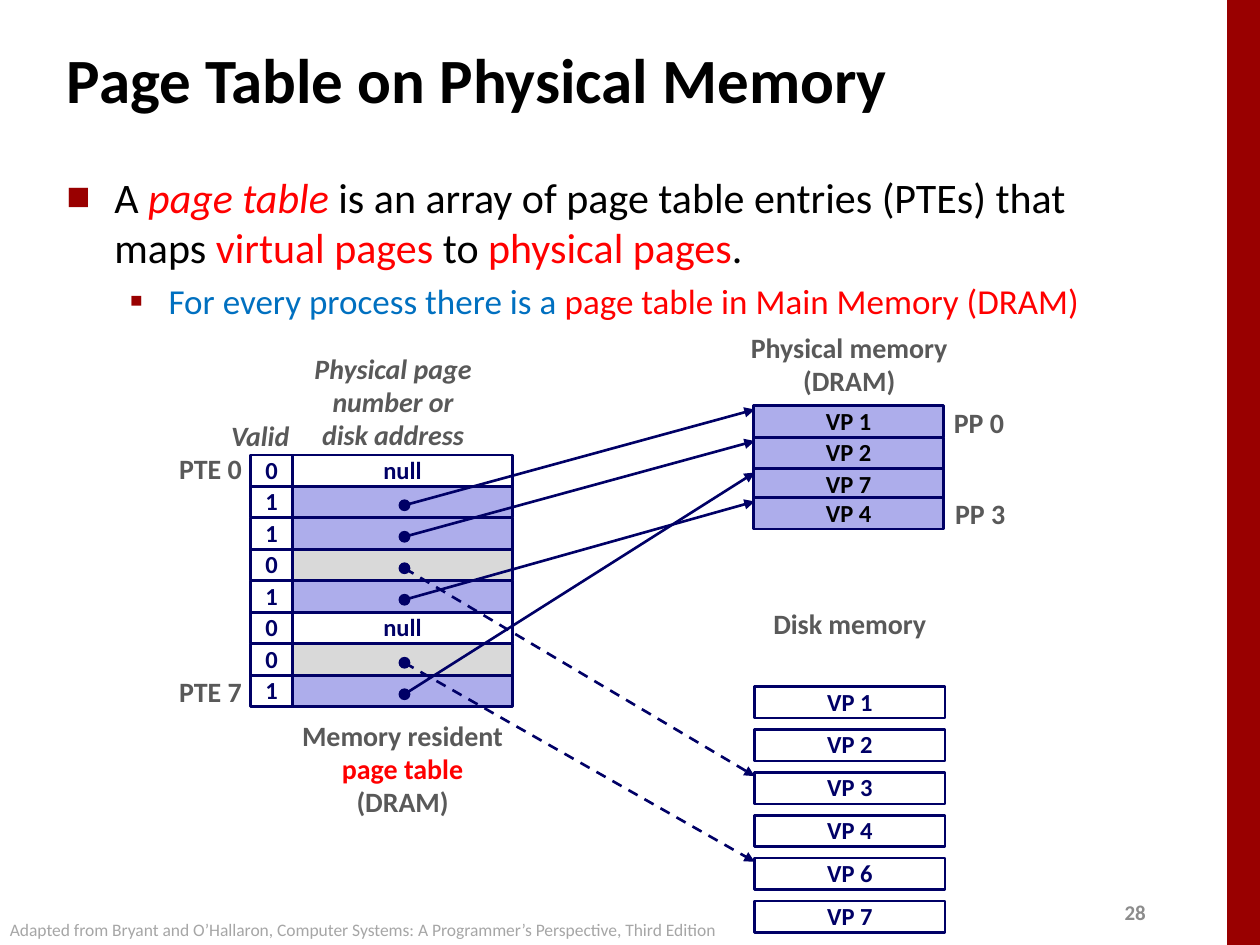
from lxml import etree
from pptx import Presentation
from pptx.dml.color import RGBColor
from pptx.enum.dml import MSO_LINE
from pptx.enum.shapes import MSO_CONNECTOR, MSO_SHAPE
from pptx.enum.text import MSO_ANCHOR, PP_ALIGN
from pptx.oxml.ns import qn
from pptx.util import Inches, Pt

RECTANGLE, OVAL = MSO_SHAPE.RECTANGLE, MSO_SHAPE.OVAL
STRAIGHT, DASH = MSO_CONNECTOR.STRAIGHT, MSO_LINE.DASH
LEFT, CENTER = PP_ALIGN.LEFT, PP_ALIGN.CENTER
MIDDLE = MSO_ANCHOR.MIDDLE

FONT = "Calibri"
COLORS = {
    "black": "000000", "white": "FFFFFF", "navy": "000066",
    "cached": "ADADEB", "on_disk": "D9D9D9", "label": "595959",
    "red": "FF0000", "blue": "0070C0", "accent": "990000",
    "number": "8C8C8C", "credit": "A6A6A6",
}

ROW_HEIGHT = 0.25
TABLE_TOP = 3.61
VALID_LEFT, VALID_WIDTH = 1.99, 0.33
ADDRESS_LEFT, ADDRESS_WIDTH = 2.32, 1.75
# Valid bit and where the entry points: None, or (memory, slot)
PAGE_TABLE = [
    ("0", None), ("1", ("dram", 0)), ("1", ("dram", 1)), ("0", ("disk", 2)),
    ("1", ("dram", 3)), ("0", None), ("0", ("disk", 4)), ("1", ("dram", 2)),
]
DOT_X, DOT_SIZE, DOT_DROP = 3.21, 0.08, 0.15

PAGE_WIDTH = 1.51
DRAM_LEFT, DISK_LEFT = 5.98, 5.99
DRAM_PAGES = ["VP 1", "VP 2", "VP 7", "VP 4"]
DISK_PAGES = ["VP 1", "VP 2", "VP 3", "VP 4", "VP 6", "VP 7"]
SLOT_TOPS = {
    "dram": [3.22, 3.47, 3.72, 3.95],
    "disk": [5.45 + 0.34 * slot for slot in range(len(DISK_PAGES))],
}
ARROW_END_X, ARROW_DROP = 5.99, 0.03

# left, top, width, height, text, italic
LABELS = [
    (2.27, 5.66, 1.85, 0.89, "Memory resident\npage table\n(DRAM)", False),
    (5.85, 2.58, 1.78, 0.63, "Physical memory\n(DRAM)", False),
    (6.03, 4.77, 1.43, 0.37, "Disk memory", False),
    (1.69, 3.28, 0.75, 0.37, "Valid", True),
    (2.39, 2.75, 1.46, 0.89, "Physical page\nnumber or\ndisk address", True),
    (1.32, 3.54, 0.7, 0.37, "PTE 0", False),
    (1.32, 5.31, 0.7, 0.37, "PTE 7", False),
    (7.47, 3.18, 0.6, 0.37, "PP 0", False),
    (7.48, 3.9, 0.6, 0.37, "PP 3", False),
]


def rgb(color):
    return RGBColor.from_string(COLORS[color])


def format_run(run, size, color, bold=False, italic=False):
    run.font.name = FONT
    run.font.size = Pt(size)
    run.font.bold = bold
    run.font.italic = italic
    run.font.color.rgb = rgb(color)


def write_text(shape, text, size, color, bold=True, italic=False, align=CENTER):
    """Set unwrapped, vertically centred text, one paragraph per line."""
    text_frame = shape.text_frame
    text_frame.text = text
    text_frame.word_wrap = False
    text_frame.vertical_anchor = MIDDLE
    for paragraph in text_frame.paragraphs:
        paragraph.alignment = align
        paragraph.line_spacing = 0.98
        for run in paragraph.runs:
            format_run(run, size, color, bold, italic)


def add_box(slide, left, top, width, height, fill, line="navy", line_width=1.5,
            kind=RECTANGLE):
    shape = slide.shapes.add_shape(
        kind, Inches(left), Inches(top), Inches(width), Inches(height))
    shape.shadow.inherit = False
    if fill:
        shape.fill.solid()
        shape.fill.fore_color.rgb = rgb(fill)
    else:
        shape.fill.background()
    if line:
        shape.line.color.rgb = rgb(line)
        shape.line.width = Pt(line_width)
    else:
        shape.line.fill.background()
    return shape


def add_label(slide, left, top, width, height, text, size=16, color="label", **style):
    label = slide.shapes.add_textbox(
        Inches(left), Inches(top), Inches(width), Inches(height))
    write_text(label, text, size, color, **style)
    return label


def add_arrow(slide, start_y, end_y, dashed):
    arrow = slide.shapes.add_connector(
        STRAIGHT, Inches(DOT_X), Inches(start_y), Inches(ARROW_END_X), Inches(end_y))
    arrow.line.color.rgb = rgb("navy")
    arrow.line.width = Pt(1.5)
    if dashed:
        arrow.line.dash_style = DASH
    properties = arrow.line._get_or_add_ln()
    etree.SubElement(properties, qn("a:tailEnd"), type="triangle")
    etree.SubElement(properties.getparent(), qn("a:effectLst"))


def add_title(slide, text):
    title = slide.shapes.title
    title.left, title.top = Inches(0.43), Inches(0.21)
    title.width, title.height = Inches(8.3), Inches(0.83)
    title.text_frame.text = text
    title.text_frame.vertical_anchor = MIDDLE
    paragraph = title.text_frame.paragraphs[0]
    paragraph.alignment = LEFT
    format_run(paragraph.runs[0], 36, "black", bold=True)


def format_bullet(paragraph, symbol, percent, margin, hanging):
    properties = paragraph._p.get_or_add_pPr()
    properties.set("marL", str(Inches(margin)))
    properties.set("indent", str(-Inches(hanging)))
    color = etree.SubElement(properties, qn("a:buClr"))
    etree.SubElement(color, qn("a:srgbClr"), val=COLORS["accent"])
    etree.SubElement(properties, qn("a:buSzPct"), val=str(percent * 1000))
    etree.SubElement(properties, qn("a:buFont"), typeface=FONT)
    etree.SubElement(properties, qn("a:buChar"), char=symbol)


def add_runs(paragraph, size, pieces):
    for text, color, italic in pieces:
        run = paragraph.add_run()
        run.text = text
        format_run(run, size, color, italic=italic)


def add_body(slide):
    body = slide.shapes.add_textbox(
        Inches(0.43), Inches(1.31), Inches(8.64), Inches(5.67))
    text_frame = body.text_frame
    text_frame.word_wrap = True
    definition = text_frame.paragraphs[0]
    add_runs(definition, 24, [
        ("A ", "black", False), ("page table ", "red", True),
        ("is an array of page table entries (PTEs) that maps ", "black", False),
        ("virtual pages ", "red", False), ("to ", "black", False),
        ("physical pages", "red", False), (".", "black", False)])
    format_bullet(definition, "■", 60, 0.38, 0.38)
    detail = text_frame.add_paragraph()
    detail.level = 1
    detail.space_before = Pt(4)
    add_runs(detail, 20, [
        ("For every process there is a ", "blue", False),
        ("page table in Main Memory (DRAM)", "red", False)])
    format_bullet(detail, "▪", 110, 0.81, 0.31)


def add_page_table(slide):
    fills = {"dram": "cached", "disk": "on_disk"}
    for row, (valid, target) in enumerate(PAGE_TABLE):
        top = TABLE_TOP + row * ROW_HEIGHT
        bit = add_box(slide, VALID_LEFT, top, VALID_WIDTH, ROW_HEIGHT, None)
        write_text(bit, valid, 14, "navy")
        fill = fills[target[0]] if target else "white"
        address = add_box(slide, ADDRESS_LEFT, top, ADDRESS_WIDTH, ROW_HEIGHT, fill)
        if not target:
            write_text(address, "null", 14, "navy")


def add_pages(slide, left, tops, names, fill, color):
    for top, name in zip(tops, names):
        page = add_box(slide, left, top, PAGE_WIDTH, ROW_HEIGHT, fill)
        write_text(page, name, 14, color)


def add_pointers(slide):
    """Draw a dot in each used entry and an arrow to the page it points to."""
    for row, (_, target) in enumerate(PAGE_TABLE):
        if target:
            memory, slot = target
            y = TABLE_TOP + row * ROW_HEIGHT + DOT_DROP
            add_box(slide, DOT_X - DOT_SIZE / 2, y - DOT_SIZE / 2, DOT_SIZE, DOT_SIZE,
                    "navy", line_width=1, kind=OVAL)
            add_arrow(slide, y, SLOT_TOPS[memory][slot] + ARROW_DROP, memory == "disk")


def main():
    presentation = Presentation()
    presentation.slide_width, presentation.slide_height = Inches(10), Inches(7.5)
    slide = presentation.slides.add_slide(presentation.slide_layouts[5])
    add_box(slide, 9.74, 0, 0.26, 7.5, "accent", line=None)
    add_title(slide, "Page Table on Physical Memory")
    add_body(slide)
    add_page_table(slide)
    add_pages(slide, DRAM_LEFT, SLOT_TOPS["dram"], DRAM_PAGES, "cached", "black")
    add_pages(slide, DISK_LEFT, SLOT_TOPS["disk"], DISK_PAGES, "white", "navy")
    add_pointers(slide)
    labels = [add_label(slide, *box, text, italic=italic)
              for *box, text, italic in LABELS]
    labels[0].text_frame.paragraphs[1].runs[0].font.color.rgb = rgb("red")
    add_label(slide, 8.81, 7.1, 0.4, 0.3, "28", 12, "number")
    add_label(slide, -0.02, 7.25, 5.95, 0.27,
              "Adapted from Bryant and O’Hallaron, Computer Systems: "
              "A Programmer’s Perspective, Third Edition",
              10, "credit", bold=False, align=LEFT)
    presentation.save("out.pptx")


if __name__ == "__main__":
    main()
